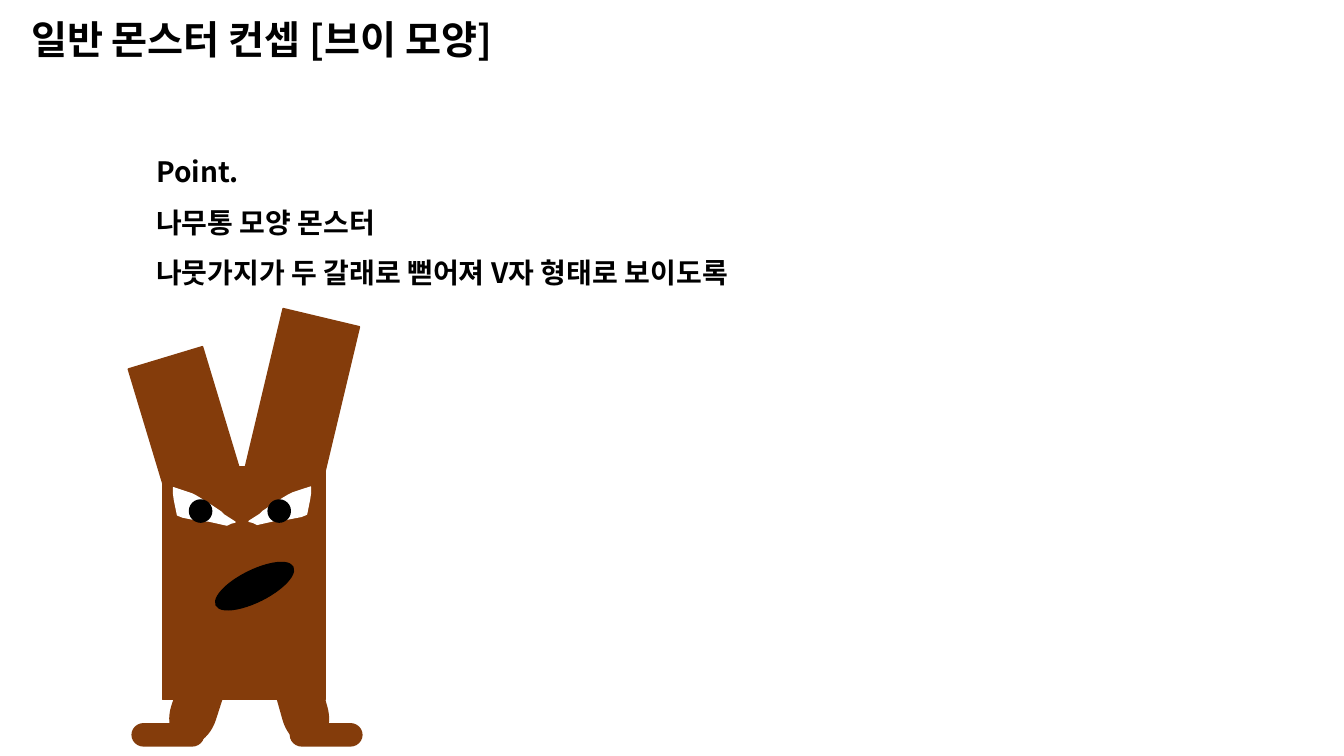
from math import cos, radians, sin

from lxml.etree import SubElement
from pptx import Presentation
from pptx.dml.color import RGBColor
from pptx.enum.shapes import MSO_SHAPE
from pptx.enum.text import MSO_AUTO_SIZE
from pptx.oxml.ns import qn
from pptx.util import Inches, Pt

BARK = RGBColor(0x84, 0x3C, 0x0B)
WHITE = RGBColor(0xFF, 0xFF, 0xFF)
BLACK = RGBColor(0x00, 0x00, 0x00)
FONT = "Noto Sans CJK KR"
CELL = Inches(0.1)
COLUMNS, ROWS = 133.33, 75

TRUNK_PARTS = [
    (MSO_SHAPE.RECTANGLE, (16.1, 46.3, 16.2, 23.1), 0),
    (MSO_SHAPE.RECTANGLE, (15.9, 35, 7.7, 23.1), 343.2),
    (MSO_SHAPE.RECTANGLE, (25.3, 31.2, 7.8, 23.1), 13.4),
    (MSO_SHAPE.FLOWCHART_TERMINATOR, (11.4, 62.1, 19.7, 4.5), 287.8),
    (MSO_SHAPE.FLOWCHART_TERMINATOR, (18.6, 62.1, 19.7, 4.5), 254.3),
    (MSO_SHAPE.FLOWCHART_TERMINATOR, (13.1, 71.8, 7.1, 2.2), 180),
    (MSO_SHAPE.FLOWCHART_TERMINATOR, (28.8, 71.8, 7.1, 2.2), 180),
]
FACE_PARTS = [
    ((18.8, 49.6, 2.2, 2.2), 0),
    ((26.6, 49.6, 2.2, 2.2), 0),
    ((23.7, 53.9, 3.1, 8.5), 63.5),
]
LEFT_EYE = [
    (17.2, 48.4), (19, 49), (19.4, 49.2), (19.9, 49.5), (20.2, 49.7),
    (20.7, 50), (21.3, 50.4), (21.6, 50.6), (21.9, 50.8), (22.2, 51.1),
    (23.3, 51.8), (22.9, 51.9), (22.5, 52.1), (20.7, 51.7), (20.1, 51.7),
    (18.1, 51.3), (17.6, 51.1), (17.3, 49.6), (17.2, 48.9), (17.2, 48.5),
]
RIGHT_EYE = [(48 - x, y - 0.1) for x, y in LEFT_EYE]


class Sketch:
    def __init__(self):
        self.deck = Presentation()
        self.deck.slide_width = round(COLUMNS * CELL)
        self.deck.slide_height = ROWS * CELL
        self.page = self.deck.slides.add_slide(self.deck.slide_layouts[6])

    def place(self, area):
        return [round(value * CELL) for value in area]

    def paint(self, shape, color, angle):
        shape.shadow.inherit = False
        shape.fill.solid()
        shape.fill.fore_color.rgb = color
        shape.line.color.rgb = color
        shape.line.width = Pt(1)
        shape.rotation = angle

    def text(self, area, lines, size, spacing=None):
        frame = self.page.shapes.add_textbox(*self.place(area)).text_frame
        frame.word_wrap = True
        frame.auto_size = MSO_AUTO_SIZE.SHAPE_TO_FIT_TEXT
        for index, line in enumerate(lines):
            para = frame.add_paragraph() if index else frame.paragraphs[0]
            para.line_spacing = spacing
            span = para.add_run()
            span.text = line
            span.font.color.rgb = BLACK
            for name, value in {"name": FONT, "size": Pt(size), "bold": True}.items():
                setattr(span.font, name, value)
            SubElement(span.font._element, qn("a:ea")).set("typeface", FONT)

    def shape(self, kind, area, color, angle=0):
        shape = self.page.shapes.add_shape(kind, *self.place(area))
        self.paint(shape, color, angle)

    def outline(self, points, center, color, angle):
        middle_x, middle_y = center
        cosine, sine = cos(radians(angle)), sin(radians(angle))
        level = [
            self.place((
                middle_x + (x - middle_x) * cosine + (y - middle_y) * sine,
                middle_y - (x - middle_x) * sine + (y - middle_y) * cosine,
            ))
            for x, y in points
        ]
        builder = self.page.shapes.build_freeform(*level[0], scale=1.0)
        builder.add_line_segments(level[1:], close=True)
        self.paint(builder.convert_to_shape(), color, angle)


def main():
    sketch = Sketch()
    sketch.text((2.1, 1, 65.5, 5.7), ["일반 몬스터 컨셉 [브이 모양]"], 28)
    points = [
        "Point.",
        "나무통 모양 몬스터",
        "나뭇가지가 두 갈래로 뻗어져 V자 형태로 보이도록",
    ]
    sketch.text((14.5, 13.2, 91.2, 15.5), points, 20, 1.5)
    for kind, area, angle in TRUNK_PARTS:
        sketch.shape(kind, area, BARK, angle)
    sketch.outline(LEFT_EYE, (20.1, 50.5), WHITE, 15.9)
    sketch.outline(RIGHT_EYE, (27.8, 50.5), WHITE, 344.1)
    for area, angle in FACE_PARTS:
        sketch.shape(MSO_SHAPE.OVAL, area, BLACK, angle)
    sketch.deck.save("out.pptx")


if __name__ == "__main__":
    main()
